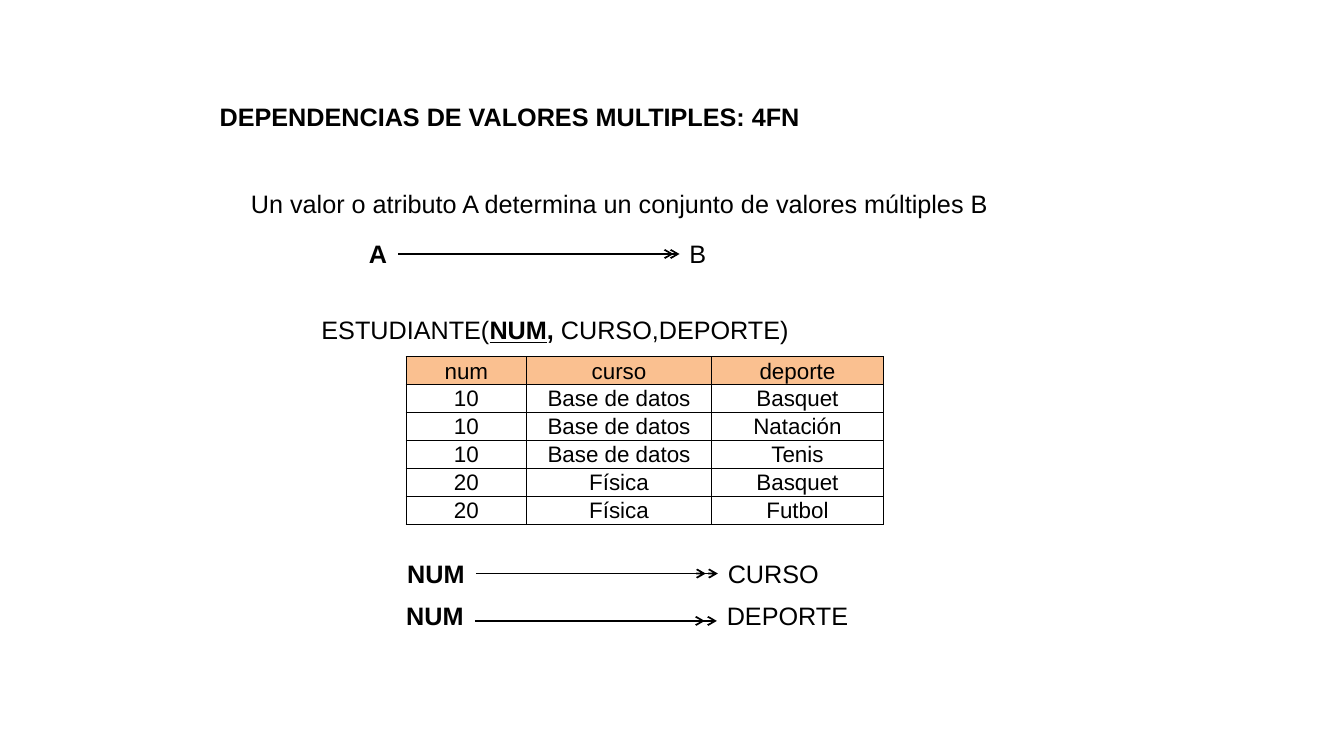
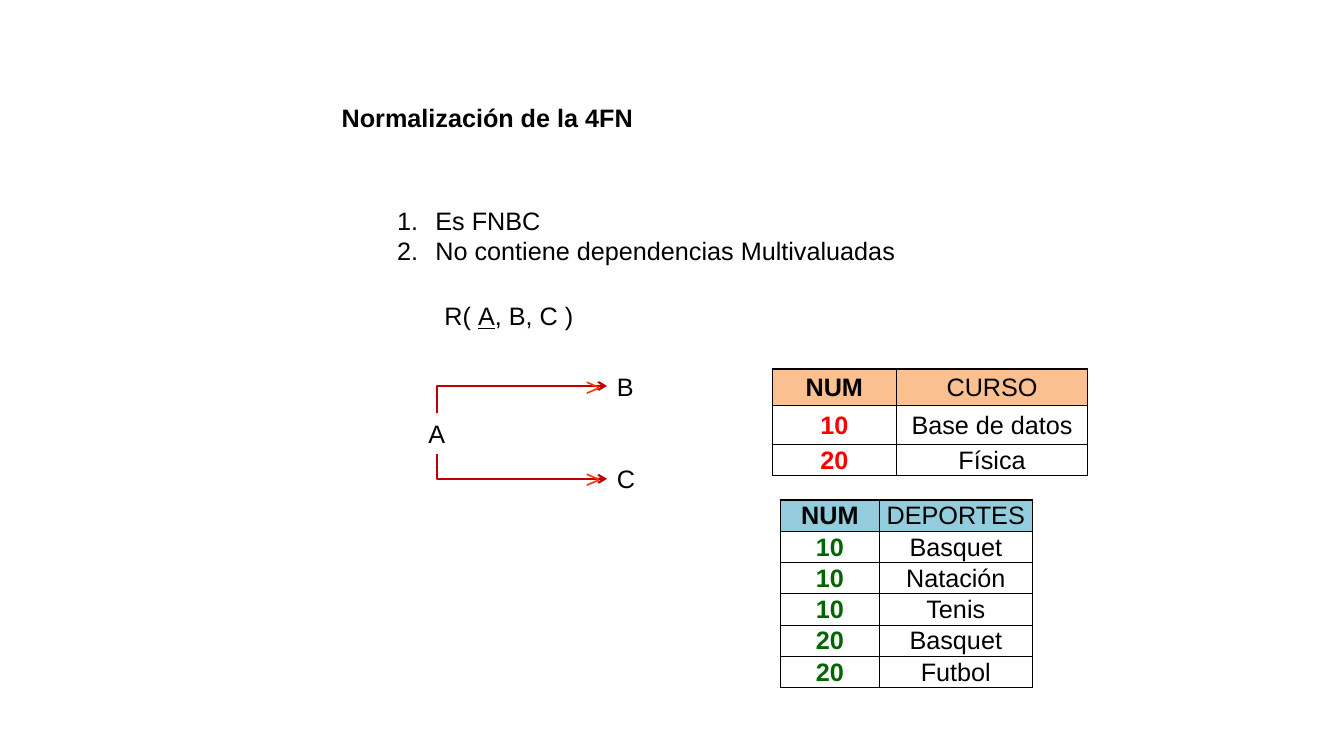
from lxml import etree
from pptx import Presentation
from pptx import util as u
from pptx.dml import color
from pptx.enum import shapes, text
from pptx.oxml import ns

FONT = "Arial"
BLACK, PEACH, SKY = "000000", "FAC090", "93CDDD"
RED, GREEN, WINE, FLAME = "FF0000", "006600", "C00000", "FF3300"
THIN, THICK = 0.5, 1
HIGH = 0.4


def paint(target, hue):
    target.rgb = color.RGBColor.from_string(hue)


def node(parent, tag, **attrs):
    return etree.SubElement(parent, ns.qn(tag), attrs)


def add_run(para, words, size=18, hue=BLACK, bold=False, under=False):
    run = para.add_run()
    run.text = words
    font = run.font
    font.name, font.size = FONT, u.Pt(size)
    font.bold, font.underline = bold, under
    paint(font.color, hue)


def label(slide, x, y, wide, runs, wrap=False):
    box = slide.shapes.add_textbox(*map(u.Inches, (x, y, wide, HIGH)))
    frame = box.text_frame
    frame.word_wrap = wrap
    frame.auto_size = text.MSO_AUTO_SIZE.SHAPE_TO_FIT_TEXT
    for words, style in runs:
        add_run(frame.paragraphs[0], words, **style)
    return box


def title(slide, x, y, wide, words):
    label(slide, x, y, wide, [(words, {"bold": True})])


def steps(slide, x, y, wide, items):
    frame = label(slide, x, y, wide, []).text_frame
    for i, words in enumerate(items):
        para = frame.add_paragraph() if i else frame.paragraphs[0]
        add_run(para, words)
        props = para._p.get_or_add_pPr()
        indent = u.Inches(0.38)
        props.set("marL", str(indent))
        props.set("indent", str(-indent))
        node(props, "a:buFont", typeface="+mj-lt")
        node(props, "a:buAutoNum", type="arabicPeriod")


def arrow(slide, start, end, hue=BLACK, width=1.25, kind="STRAIGHT"):
    line = slide.shapes.add_connector(
        shapes.MSO_CONNECTOR[kind], *map(u.Inches, (*start, *end)))
    paint(line.line.color, hue)
    line.line.width = u.Pt(width)
    node(line.line._get_or_add_ln(), "a:tailEnd", type="arrow")
    node(line._element.spPr, "a:effectLst")
    return line


def relation(slide, x, y, names, widths, drop=0.2, back=0.12):
    first, span, last = widths
    start, end = x + first, x + first + span
    label(slide, x, y, first, [(names[0], {"bold": True})])
    label(slide, end, y, last, [(names[1], {})])
    level = y + drop
    arrow(slide, (start, level), (end, level))
    arrow(slide, (end - back - 0.23, level), (end - back, level))


def bend(slide, source, target, start, end, up):
    line = arrow(slide, start, end, WINE, 1.5, "ELBOW")
    line.begin_connect(source, 0 if up else 2)
    line.end_connect(target, 1)
    run, rise = end[0] - start[0], abs(end[1] - start[1])
    mid_x, mid_y = (start[0] + end[0]) / 2, (start[1] + end[1]) / 2
    line.left, line.top = u.Inches(mid_x - rise / 2), u.Inches(mid_y - run / 2)
    line.width, line.height = u.Inches(rise), u.Inches(run)
    props = line._element.spPr
    frame = props.find(ns.qn("a:xfrm"))
    frame.set("rot", str((90 if up else 270) * 60000))
    frame.set("flipH", "1")
    frame.set("flipV", "1" if up else "0")
    props.find(ns.qn("a:prstGeom")).set("prst", "bentConnector2")


def fork(slide, x, y):
    root = label(slide, x, y + 0.47, 0.37, [("A", {})])
    for name, drop, wide, up in (("B", 0, 0.37, True), ("C", 0.92, 0.38, False)):
        top = y + drop
        leaf = label(slide, x + 1.87, top, wide, [(name, {})])
        start = (x + 0.18, y + (0.47 if up else 0.87))
        bend(slide, root, leaf, start, (x + 1.87, top + 0.2), up)
        label(slide, x + 1.56, top, 0.23, [(">", {"hue": FLAME})], True)


def edge(cell, side, width):
    props = cell._tc.get_or_add_tcPr()
    line = node(props, "a:ln" + side, w=str(u.Pt(width)))
    node(node(line, "a:solidFill"), "a:srgbClr", val=BLACK)


def grid(slide, x, y, cols, highs, rows, head, size=18, key=None):
    area = map(u.Inches, (x, y, sum(cols), sum(highs)))
    table = slide.shapes.add_table(len(rows), len(cols), *area).table
    table.first_row = table.horz_banding = False
    for col, wide in zip(table.columns, cols):
        col.width = u.Inches(wide)
    for row, high in zip(table.rows, highs):
        row.height = u.Inches(high)
    end_r, end_c = len(rows) - 1, len(cols) - 1
    for r, row in enumerate(rows):
        for c, words in enumerate(row):
            cell = table.cell(r, c)
            cell.margin_left = cell.margin_right = u.Inches(0.01)
            cell.margin_top, cell.margin_bottom = u.Inches(0.01), 0
            cell.vertical_anchor = text.MSO_ANCHOR.MIDDLE
            para = cell.text_frame.paragraphs[0]
            para.alignment = text.PP_ALIGN.CENTER
            marked = bool(key) and c == 0
            hue = key if marked and r else BLACK
            add_run(para, words, size, hue, marked)
            bold = {"L": c == 0, "R": c == end_c,
                    "T": r < 2, "B": r in (0, end_r)}
            for side, thick in bold.items():
                edge(cell, side, THICK if thick else THIN)
            if r:
                cell.fill.background()
            else:
                cell.fill.solid()
                paint(cell.fill.fore_color, head)


def values(slide):
    title(slide, 2.08, 0.96, 6.01, "DEPENDENCIAS DE VALORES MULTIPLES: 4FN")
    label(slide, 2.39, 1.82, 8.2, [(
        "Un valor o atributo A determina un conjunto de valores múltiples B",
        {})], True)
    relation(slide, 3.56, 2.32, "AB", (0.39, 2.79, 0.37), back=0.06)
    label(slide, 3.09, 3.07, 5.07, [
        ("ESTUDIANTE(", {}), ("NUM", {"bold": True, "under": True}),
        (", ", {"bold": True}), ("CURSO,DEPORTE)", {})], True)
    rows = [("num", "curso", "deporte"),
            ("10", "Base de datos", "Basquet"),
            ("10", "Base de datos", "Natación"),
            ("10", "Base de datos", "Tenis"),
            ("20", "Física", "Basquet"),
            ("20", "Física", "Futbol")]
    grid(slide, 4.03, 3.54, (1.19, 1.84, 1.7), [1.66 / 6] * 6, rows, PEACH, 16)
    relation(slide, 3.94, 5.49, ("NUM", "CURSO"), (0.78, 2.4, 1.11))
    relation(slide, 3.93, 5.91, ("NUM", "DEPORTE"), (0.78, 2.4, 1.42), 0.25)


def normal(slide):
    title(slide, 3.29, 0.97, 3.12, "Normalización de la 4FN")
    steps(slide, 3.84, 1.99, 5.18,
          ["Es FNBC", "No contiene dependencias Multivaluadas"])
    label(slide, 4.31, 2.93, 3.44, [
        ("R( ", {}), ("A", {"under": True}), (", B, C )", {})], True)
    fork(slide, 4.15, 3.63)
    grid(slide, 7.66, 3.66, (1.23, 1.9), (0.36, 0.39, 0.31),
         [("NUM", "CURSO"), ("10", "Base de datos"), ("20", "Física")],
         PEACH, key=RED)
    grid(slide, 7.74, 4.96, (0.98, 1.52), [0.31] * 6,
         [("NUM", "DEPORTES"), ("10", "Basquet"), ("10", "Natación"),
          ("10", "Tenis"), ("20", "Basquet"), ("20", "Futbol")],
         SKY, key=GREEN)


def main():
    deck = Presentation()
    deck.slide_width, deck.slide_height = u.Inches(13.33), u.Inches(7.5)
    for build in (values, normal):
        build(deck.slides.add_slide(deck.slide_layouts[6]))
    deck.save("out.pptx")


if __name__ == "__main__":
    main()
